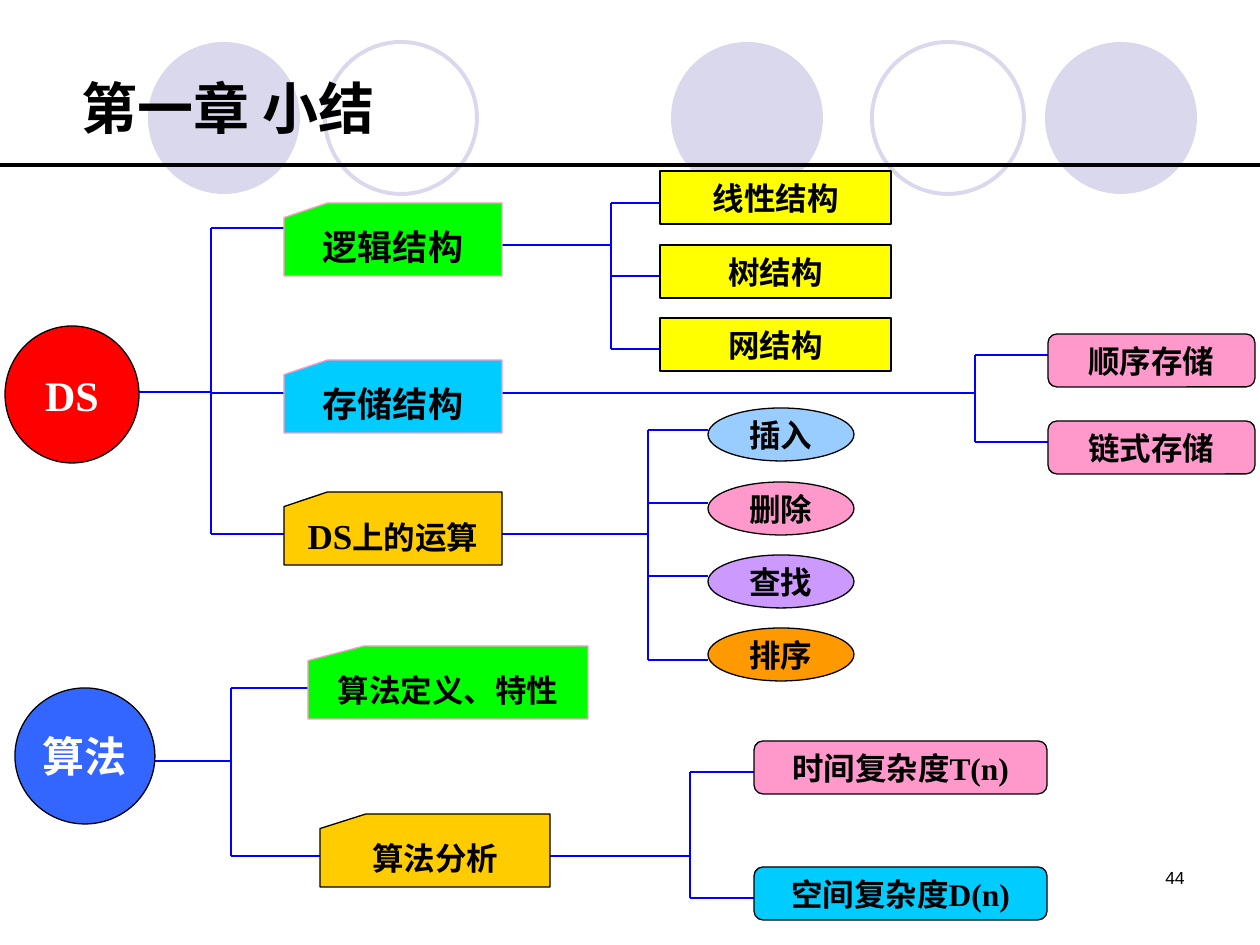
import dataclasses

import pptx
import pptx.dml.color
import pptx.enum.lang
import pptx.enum.shapes
import pptx.enum.text
import pptx.oxml
import pptx.oxml.ns
import pptx.util

EMU_PER_PX = 914400 / 126
SHAPE = pptx.enum.shapes.MSO_SHAPE
ALIGN = pptx.enum.text.PP_ALIGN
MIDDLE = pptx.enum.text.MSO_ANCHOR.MIDDLE
CHINESE = pptx.enum.lang.MSO_LANGUAGE_ID.SIMPLIFIED_CHINESE


@dataclasses.dataclass(frozen=True)
class Theme:
    black: str = "000000"
    white: str = "FFFFFF"
    lilac: str = "D9D8EC"
    link: str = "0000FF"
    red: str = "FF0000"
    blue: str = "3366FF"
    green: str = "00FF00"
    cyan: str = "00CCFF"
    gold: str = "FFCC00"
    yellow: str = "FFFF00"
    pink: str = "FF99CC"
    sky: str = "99CCFF"
    violet: str = "CC99FF"
    orange: str = "FF9900"
    heading_font: str = "Arial"
    body_font: str = "Times New Roman"
    title_size: int = 32
    root_size: int = 24
    branch_size: int = 20
    leaf_size: int = 18
    number_size: int = 10
    outline: float = 0.75
    link_width: float = 1.5
    ring_width: float = 2.25
    rule_width: float = 2.5


THEME = Theme()


def px(value):
    return round(value * EMU_PER_PX)


def rgb(value):
    return pptx.dml.color.RGBColor.from_string(value)


def apply_format(target, values):
    for name, value in values.items():
        setattr(target, name, value)


def write(para, spans, font, color, bold=True):
    """Write (text, size) spans into a paragraph."""
    for text, size in spans:
        span = para.add_run()
        span.text = text
        apply_format(span.font, {"name": font, "size": pptx.util.Pt(size),
                                 "bold": bold, "language_id": CHINESE})
        span.font.color.rgb = rgb(color)


def add_figure(page, kind, box, fill=None, line=None, width=THEME.outline):
    figure = page.shapes.add_shape(kind, *map(px, box))
    figure.shadow.inherit = False
    if fill:
        figure.fill.solid()
        figure.fill.fore_color.rgb = rgb(fill)
    else:
        figure.fill.background()
    if line:
        figure.line.color.rgb = rgb(line)
        figure.line.width = pptx.util.Pt(width)
    else:
        figure.line.fill.background()
    return figure


def add_node(page, kind, box, spans, fill, line=THEME.black, color=THEME.black):
    node = add_figure(page, kind, box, fill, line)
    apply_format(node.text_frame, {"word_wrap": False, "vertical_anchor": MIDDLE})
    para = node.text_frame.paragraphs[0]
    para.alignment = ALIGN.CENTER
    write(para, spans, THEME.body_font, color)


def add_line(page, start, end, color=THEME.link, width=THEME.link_width):
    line = page.shapes.add_connector(
        pptx.enum.shapes.MSO_CONNECTOR.STRAIGHT, *map(px, (*start, *end)))
    line.line.color.rgb = rgb(color)
    line.line.width = pptx.util.Pt(width)
    effects = pptx.oxml.parse_xml(
        "<a:effectLst %s/>" % pptx.oxml.ns.nsdecls("a"))
    line.element.spPr.append(effects)


def add_bracket(page, start, trunk, ends):
    """Link a parent to its children: a stem, a vertical trunk and branches."""
    heights = [y for _, y in ends]
    add_line(page, start, (trunk, start[1]))
    add_line(page, (trunk, min(heights)), (trunk, max(heights)))
    for x, y in ends:
        add_line(page, (trunk, y), (x, y))


def add_backdrop(page):
    for left in (671, 1045, 148):
        add_figure(page, SHAPE.OVAL, (left, 42, 152, 152), fill=THEME.lilac)
    for left in (872, 325):
        add_figure(page, SHAPE.OVAL, (left, 42, 152, 152),
                   line=THEME.lilac, width=THEME.ring_width)
    add_line(page, (0, 165), (1260, 165), THEME.black, THEME.rule_width)


def add_title(page, text):
    title = page.shapes.title
    title.element.getparent().append(title.element)  # in front of the circles
    apply_format(title, dict(zip(("left", "top", "width", "height"),
                                 map(px, (69, 60, 1147, 94)))))
    apply_format(title.text_frame, {
        "vertical_anchor": MIDDLE, "word_wrap": True,
        "auto_size": pptx.enum.text.MSO_AUTO_SIZE.NONE})
    para = title.text_frame.paragraphs[0]
    para.alignment = ALIGN.LEFT
    write(para, [(text, THEME.title_size)], THEME.heading_font, THEME.black)


def add_page_number(page, text):
    box = page.shapes.add_textbox(*map(px, (903, 861, 294, 63)))
    box.text_frame.word_wrap = True
    para = box.text_frame.paragraphs[0]
    para.alignment = ALIGN.RIGHT
    write(para, [(text, THEME.number_size)], THEME.heading_font, THEME.black, False)


def add_links(page):
    add_bracket(page, (139, 392), 211, [(284, y) for y in (228, 393, 534)])
    add_bracket(page, (502, 245), 611, [(660, y) for y in (203, 276, 349)])
    add_bracket(page, (502, 393), 975, [(1048, y) for y in (355, 442)])
    add_bracket(page, (502, 534), 648, [(708, y) for y in (430, 503, 576, 660)])
    add_bracket(page, (155, 761), 231, [(308, 688), (320, 856)])
    add_bracket(page, (550, 856), 690, [(754, y) for y in (772, 898)])


def add_roots(page):
    for text, box, fill in (("DS", (5, 326, 134, 137), THEME.red),
                            ("算法", (15, 688, 140, 136), THEME.blue)):
        add_node(page, SHAPE.OVAL, box, [(text, THEME.root_size)], fill,
                 color=THEME.white)


def add_branches(page):
    large, small = THEME.branch_size, THEME.leaf_size
    for spans, left, top, width, fill, line in (
            ([("逻辑结构", large)], 284, 203, 218, THEME.green, THEME.pink),
            ([("存储结构", large)], 284, 360, 218, THEME.cyan, THEME.pink),
            ([("DS", large), ("上的运算", small)], 284, 492, 218,
             THEME.gold, THEME.black),
            ([("算法定义、特性", small)], 308, 646, 280, THEME.green, THEME.pink),
            ([("算法分析", small)], 320, 814, 230, THEME.gold, THEME.black)):
        add_node(page, SHAPE.FLOWCHART_CARD, (left, top, width, 73),
                 spans, fill, line)


def add_leaves(page, kind, left, top, width, pitch, leaves):
    """Stack (text, fill) leaves at an even pitch."""
    for index, (text, fill) in enumerate(leaves):
        add_node(page, kind, (left, top + round(index * pitch), width, 53),
                 [(text, THEME.leaf_size)], fill)


def main():
    deck = pptx.Presentation()
    apply_format(deck, {"slide_width": px(1260), "slide_height": px(945)})
    page = deck.slides.add_slide(deck.slide_layouts.get_by_name("Title Only"))
    add_backdrop(page)
    add_title(page, "第一章 小结")
    add_page_number(page, "44")
    add_links(page)
    add_roots(page)
    add_branches(page)
    add_leaves(page, SHAPE.RECTANGLE, 660, 171, 231, 73.5, [
        (text, THEME.yellow) for text in ("线性结构", "树结构", "网结构")])
    add_leaves(page, SHAPE.ROUNDED_RECTANGLE, 1048, 334, 207, 87, [
        (text, THEME.pink) for text in ("顺序存储", "链式存储")])
    add_leaves(page, SHAPE.OVAL, 708, 408, 146, 73.5, [
        ("插入", THEME.sky), ("删除", THEME.pink),
        ("查找", THEME.violet), ("排序", THEME.orange)])
    add_leaves(page, SHAPE.ROUNDED_RECTANGLE, 754, 741, 293, 126, [
        ("时间复杂度T(n)", THEME.pink), ("空间复杂度D(n)", THEME.cyan)])
    deck.save("out.pptx")


if __name__ == "__main__":
    main()
